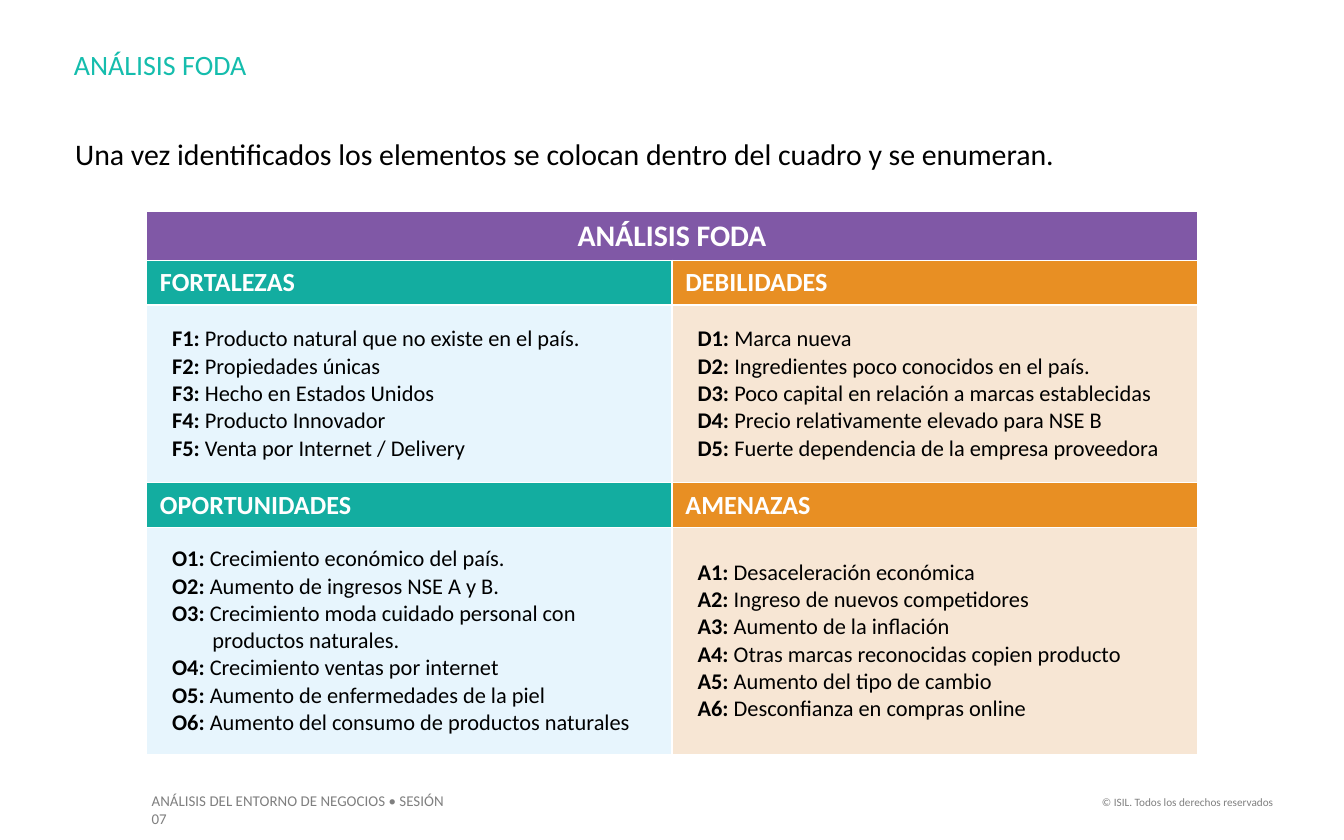
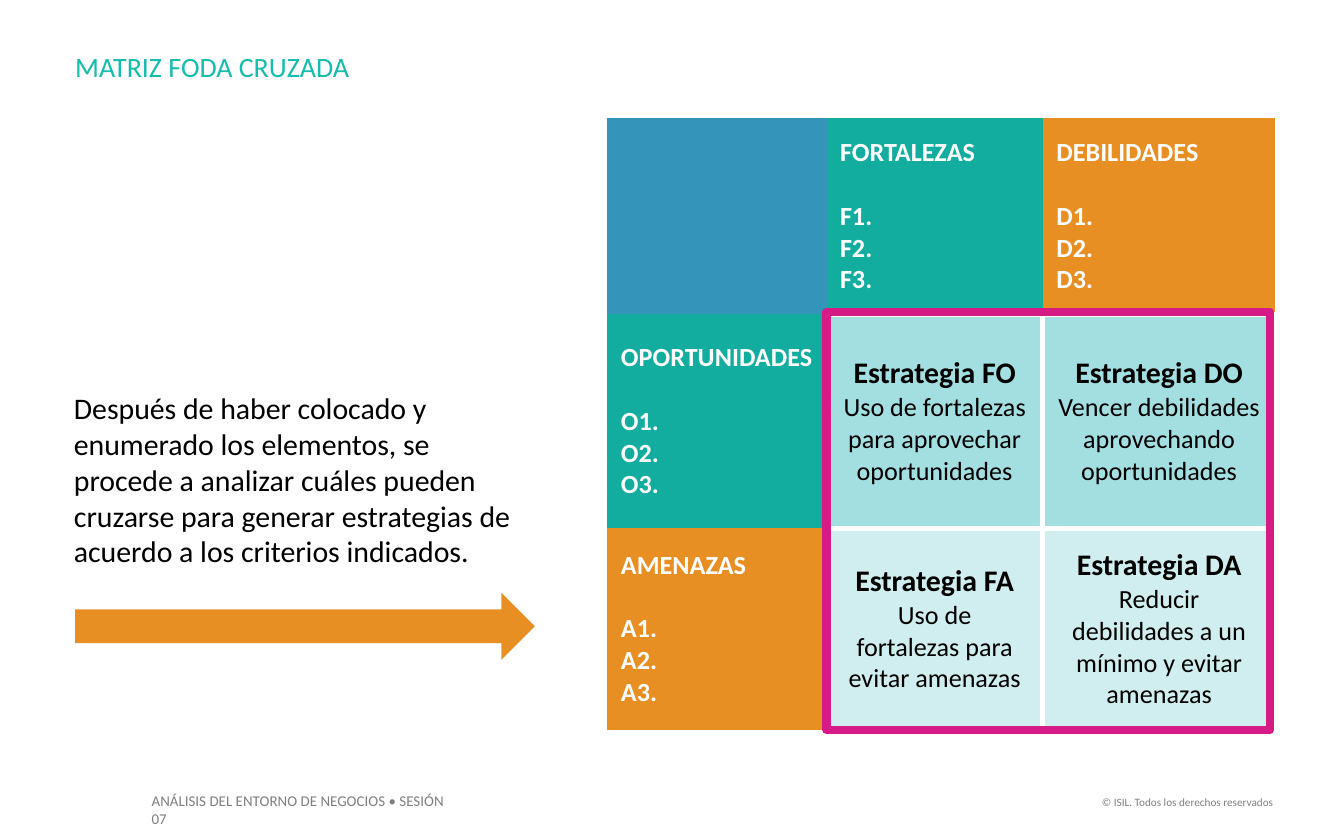
from dataclasses import dataclass

from lxml import etree
from pptx import Presentation
from pptx.dml.color import RGBColor
from pptx.enum.shapes import MSO_SHAPE
from pptx.enum.text import MSO_ANCHOR, MSO_AUTO_SIZE, PP_ALIGN
from pptx.oxml.ns import qn
from pptx.util import Inches, Pt

LEFT, CENTER, RIGHT = PP_ALIGN.LEFT, PP_ALIGN.CENTER, PP_ALIGN.RIGHT
TOP, MIDDLE = MSO_ANCHOR.TOP, MSO_ANCHOR.MIDDLE
GROW = MSO_AUTO_SIZE.SHAPE_TO_FIT_TEXT
RIGHT_ARROW, RECTANGLE = MSO_SHAPE.RIGHT_ARROW, MSO_SHAPE.RECTANGLE

SLIDE_WIDTH, SLIDE_HEIGHT = Inches(10), Inches(6.25)
COLUMNS = 100  # the slide is 100 square grid columns wide
SIDES = "LRTB"


@dataclass(frozen=True)
class Theme:
    font: str = "Calibri"
    title: str = "15BDAD"
    text: str = "000000"
    light: str = "FFFFFF"
    muted: str = "7F7F7F"
    purple: str = "8058A6"
    teal: str = "13ADA0"
    orange: str = "E88F23"
    blue: str = "3494BA"
    pale_blue: str = "E7F5FD"
    pale_orange: str = "F7E6D4"
    aqua: str = "A3DFE1"
    pink: str = "D71B86"
    title_size: float = 15
    lead_size: float = 16
    heading_size: float = 14
    item_size: float = 12
    footer_size: float = 8
    rights_size: float = 6


THEME = Theme()

# Each quadrant: heading, letter, items
STRENGTHS = ("FORTALEZAS", "F", [
    "Producto natural que no existe en el país.",
    "Propiedades únicas",
    "Hecho en Estados Unidos",
    "Producto Innovador",
    "Venta por Internet / Delivery",
])
WEAKNESSES = ("DEBILIDADES", "D", [
    "Marca nueva",
    "Ingredientes poco conocidos en el país.",
    "Poco capital en relación a marcas establecidas",
    "Precio relativamente elevado para NSE B",
    "Fuerte dependencia de la empresa proveedora",
])
OPPORTUNITIES = ("OPORTUNIDADES", "O", [
    "Crecimiento económico del país.",
    "Aumento de ingresos NSE A y B.",
    "Crecimiento moda cuidado personal con productos naturales.",
    "Crecimiento ventas por internet",
    "Aumento de enfermedades de la piel",
    "Aumento del consumo de productos naturales",
])
THREATS = ("AMENAZAS", "A", [
    "Desaceleración económica",
    "Ingreso de nuevos competidores",
    "Aumento de la inflación",
    "Otras marcas reconocidas copien producto",
    "Aumento del tipo de cambio",
    "Desconfianza en compras online",
])

# Strategies by row: name, description, strength of the fill in percent
STRATEGIES = [
    [("Estrategia FO", "Uso de fortalezas para aprovechar oportunidades", 100),
     ("Estrategia DO", "Vencer debilidades aprovechando oportunidades", 100)],
    [("Estrategia FA", "Uso de\nfortalezas para evitar amenazas", 50),
     ("Estrategia DA", "Reducir debilidades a un mínimo y evitar amenazas", 50)],
]


def grid(*lengths):
    """Turn grid columns into slide lengths."""
    return [round(length * SLIDE_WIDTH / COLUMNS) for length in lengths]


# Text
def add_span(para, text, size, color, bold=False):
    for number, line in enumerate(text.split("\n")):
        if number:
            para.add_line_break()
        span = para.add_run()
        span.text = line
        span.font.name = THEME.font
        span.font.size = Pt(size)
        span.font.bold = bold
        span.font.color.rgb = RGBColor.from_string(color)


def add_para(frame, *spans, align=LEFT):
    """Add a paragraph of (text, size, color, bold) spans, reusing an empty first one."""
    first = frame.paragraphs[0]
    para = first if not first.runs else frame.add_paragraph()
    para.alignment = align
    for span in spans:
        add_span(para, *span)
    return para


def indent(para, left, first_line):
    properties = para._p.get_or_add_pPr()
    margin, offset = grid(left, first_line)
    properties.set("marL", str(margin))
    properties.set("indent", str(offset))
    return properties


def fill_placeholder(holder, area, text, size, color):
    holder.left, holder.top, holder.width, holder.height = grid(*area)
    frame = holder.text_frame
    frame.margin_left = frame.margin_right = frame.margin_top = frame.margin_bottom = 0
    frame.word_wrap, frame.auto_size, frame.vertical_anchor = True, GROW, TOP
    para = add_para(frame, (text, size, color))
    etree.SubElement(indent(para, 0, 0), qn("a:buNone"))
    para.space_before = Pt(0)


def add_footer(page, area, text, size, align):
    frame = page.shapes.add_textbox(*grid(*area)).text_frame
    frame.word_wrap, frame.auto_size = True, GROW
    add_para(frame, (text, size, THEME.muted), align=align)


# Page frame
def add_page(deck, title, title_area, lead, lead_area):
    page = deck.slides.add_slide(deck.slide_layouts[1])
    add_footer(page, (10.3, 58.4, 25, 2.4),
               "ANÁLISIS DEL ENTORNO DE NEGOCIOS • SESIÓN 07", THEME.footer_size, LEFT)
    add_footer(page, (80.5, 58.7, 15.2, 2),
               "© ISIL. Todos los derechos reservados", THEME.rights_size, RIGHT)
    fill_placeholder(page.shapes.title, title_area, title, THEME.title_size, THEME.title)
    fill_placeholder(page.placeholders[1], lead_area, lead, THEME.lead_size, THEME.text)
    return page


# Tables
def add_grid_table(page, left, top, widths, heights):
    area = grid(left, top, sum(widths), sum(heights))
    table = page.shapes.add_table(len(heights), len(widths), *area).table
    table.first_row = table.horz_banding = False
    for column, width in zip(table.columns, grid(*widths)):
        column.width = width
    for row, height in zip(table.rows, grid(*heights)):
        row.height = height
    return table


def style_cell(cell, color, border, sides=SIDES, opacity=100):
    """Fill a cell and draw white borders on the given sides only."""
    cell.vertical_anchor = MIDDLE
    cell.fill.solid()
    cell.fill.fore_color.rgb = RGBColor.from_string(color)
    properties = cell._tc.get_or_add_tcPr()
    if opacity < 100:
        tint = properties.find(".//" + qn("a:srgbClr"))
        etree.SubElement(tint, qn("a:alpha"), val=str(opacity * 1000))
    for position, side in enumerate(SIDES):
        line = etree.Element(qn("a:ln" + side), w=str(Pt(border)))
        if side in sides:
            paint = etree.SubElement(line, qn("a:solidFill"))
            etree.SubElement(paint, qn("a:srgbClr"), val=THEME.light)
        else:
            etree.SubElement(line, qn("a:noFill"))
        properties.insert(position, line)
    return cell.text_frame


def heading(text, size=THEME.heading_size):
    return text, size, THEME.light, True


def add_quadrant(table, row, column, quadrant, head_color, body_color):
    """Put a heading cell over a cell with the numbered items."""
    name, letter, items = quadrant
    add_para(style_cell(table.cell(row, column), head_color, 1), heading(name))
    frame = style_cell(table.cell(row + 1, column), body_color, 1)
    for number, item in enumerate(items, 1):
        para = add_para(frame,
                        (f"{letter}{number}: ", THEME.item_size, THEME.text, True),
                        (item, THEME.item_size, THEME.text))
        if len(item) > 50:  # items of two lines hang under their text
            indent(para, 3.9, -3)
        else:
            indent(para, 0.9, 0)


def add_axis_cell(cell, quadrant, color, side):
    """Write a quadrant's heading and its first three codes."""
    name, letter, _ = quadrant
    frame = style_cell(cell, color, 3, side)
    add_para(frame, heading(name)).space_after = Pt(THEME.heading_size * 1.22)
    for number in range(1, 4):
        add_para(frame, heading(f"{letter}{number}."))


def add_strategy(cell, name, description, opacity):
    frame = style_cell(cell, THEME.aqua, 3, opacity=opacity)
    add_para(frame, (name, THEME.lead_size, THEME.text, True), align=CENTER)
    add_para(frame, (description, THEME.heading_size, THEME.text), align=CENTER)


# Shapes
def add_arrow(page, area, color):
    arrow = page.shapes.add_shape(RIGHT_ARROW, *grid(*area))
    arrow.shadow.inherit = False
    arrow.fill.solid()
    arrow.fill.fore_color.rgb = RGBColor.from_string(color)
    arrow.line.fill.background()


def add_frame(page, area, color, width):
    outline = page.shapes.add_shape(RECTANGLE, *grid(*area))
    outline.shadow.inherit = False
    outline.fill.background()
    outline.line.color.rgb = RGBColor.from_string(color)
    outline.line.width = Pt(width)


# Slides
def build_analysis(deck):
    page = add_page(
        deck, "ANÁLISIS FODA", (5.5, 3.5, 78.8, 2.5),
        "Una vez identificados los elementos se colocan dentro del cuadro y se enumeran.",
        (5.6, 10.1, 73.8, 2.7))
    table = add_grid_table(page, 10.9, 15.7, [39.1] * 2, [3.6, 3.3, 13.2, 3.3, 16.9])
    table.cell(0, 0).merge(table.cell(0, 1))
    style_cell(table.cell(0, 1), THEME.purple, 1)
    banner = style_cell(table.cell(0, 0), THEME.purple, 1)
    add_para(banner, heading("ANÁLISIS FODA", THEME.lead_size), align=CENTER)
    for row, pair in ((1, (STRENGTHS, WEAKNESSES)), (3, (OPPORTUNITIES, THREATS))):
        add_quadrant(table, row, 0, pair[0], THEME.teal, THEME.pale_blue)
        add_quadrant(table, row, 1, pair[1], THEME.orange, THEME.pale_orange)


def build_crossed_matrix(deck):
    page = add_page(
        deck, "MATRIZ FODA CRUZADA", (5.6, 3.7, 32.1, 2.5),
        "Después de haber colocado y enumerado los elementos, se procede a analizar "
        "cuáles pueden cruzarse para generar estrategias de acuerdo a los criterios "
        "indicados.", (5.5, 29, 34.3, 13.5))
    table = add_grid_table(page, 45.2, 8.8, [16.3, 16.1, 17.3], [14.6, 15.9, 15])
    style_cell(table.cell(0, 0), THEME.blue, 3, "")
    colors = (THEME.teal, THEME.orange)
    for place, color in enumerate(colors, 1):
        add_axis_cell(table.cell(0, place), (STRENGTHS, WEAKNESSES)[place - 1], color, "B")
        add_axis_cell(table.cell(place, 0), (OPPORTUNITIES, THREATS)[place - 1], color, "R")
    for row, strategies in enumerate(STRATEGIES, 1):
        for column, strategy in enumerate(strategies, 1):
            add_strategy(table.cell(row, column), *strategy)
    add_arrow(page, (5.6, 44.1, 34.2, 5), THEME.orange)
    add_frame(page, (61.5, 23.2, 33, 31.1), THEME.pink, 4.5)


def main():
    deck = Presentation()
    deck.slide_width, deck.slide_height = SLIDE_WIDTH, SLIDE_HEIGHT
    build_analysis(deck)
    build_crossed_matrix(deck)
    deck.save("out.pptx")


if __name__ == "__main__":
    main()
